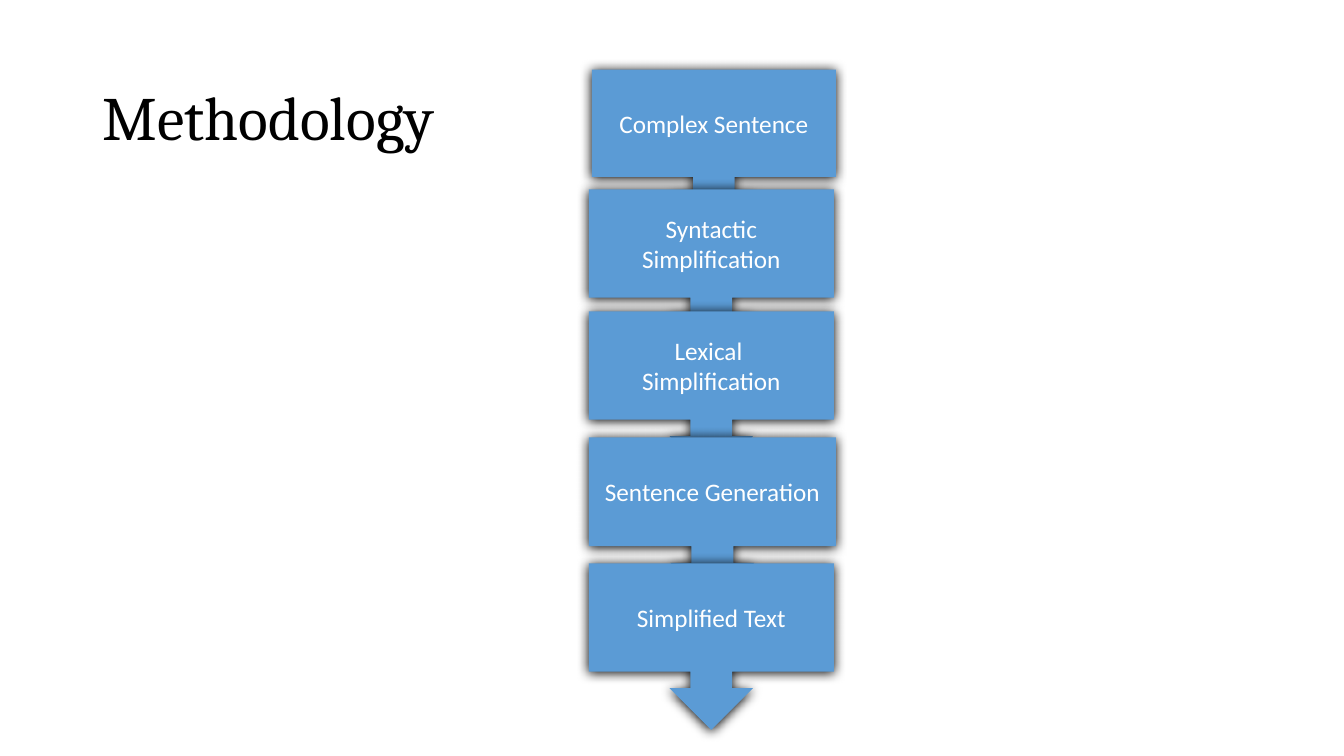
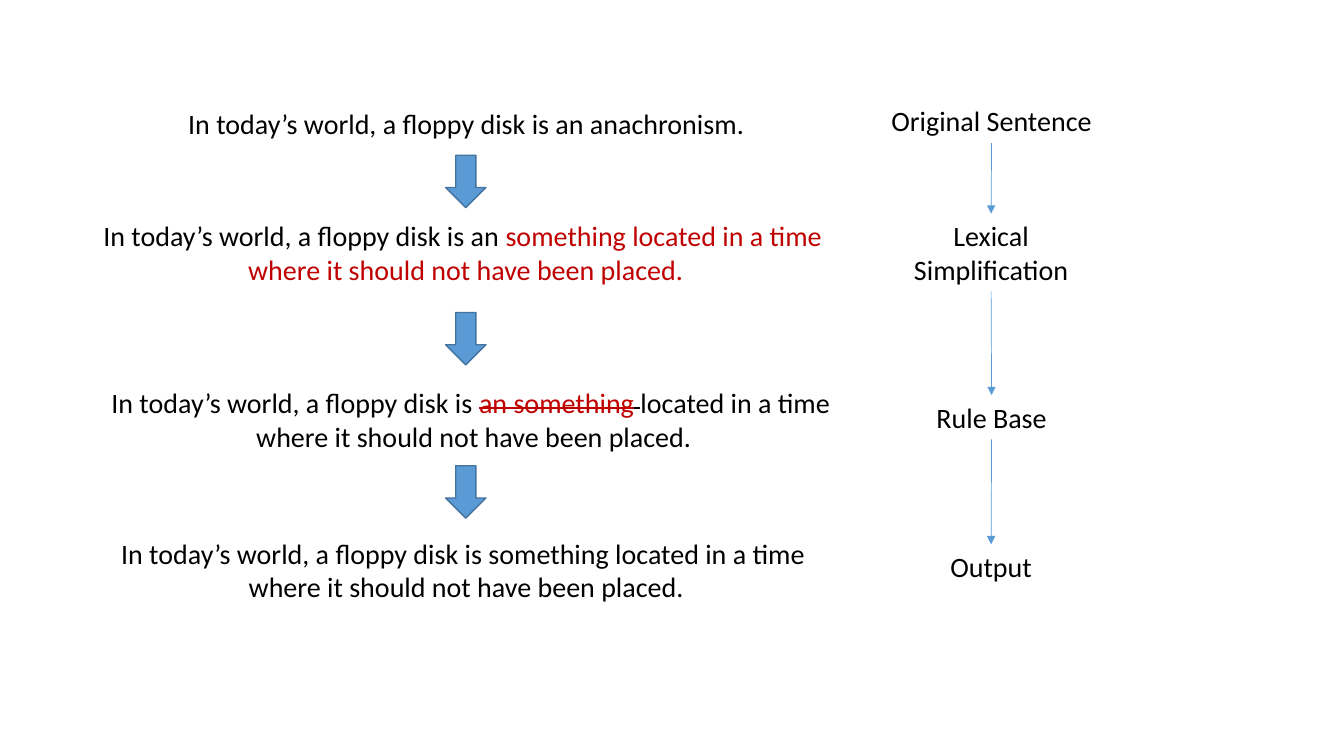
from dataclasses import dataclass

from lxml.etree import SubElement
from pptx import Presentation
from pptx.dml.color import RGBColor
from pptx.enum.shapes import MSO_CONNECTOR as Connector, MSO_SHAPE as Shape
from pptx.enum.text import MSO_ANCHOR as Anchor, MSO_AUTO_SIZE as AutoSize, PP_ALIGN as Align
from pptx.oxml.ns import qn
from pptx.util import Emu, Pt

PX = 9144  # 100 px to the inch
BOTTOM, TOP = 2, 0


@dataclass(frozen=True)
class Theme:
    black: str = "000000"
    white: str = "FFFFFF"
    blue: str = "5B9BD5"
    dark_blue: str = "43739E"
    red: str = "C00000"
    title_font: str = "Cambria"
    body_font: str = "Calibri"
    title_size: int = 44
    sentence_size: int = 20
    step_size: int = 18


THEME = Theme()

TITLE = ("Methodology", (92, 47, 1150, 145))

# Paragraphs, then left, top, width, height
STEPS = [
    (["Complex Sentence"], (587, 69, 242, 164)),
    (["Syntactic Simplification"], (584, 188, 243, 165)),
    (["Lexical ", "Simplification"], (584, 309, 243, 165)),
    (["Sentence Generation"], (584, 434, 245, 166)),
    (["Simplified Text"], (584, 559, 243, 165)),
]

# Text, top, width, height
STAGE_CENTER = 983
STAGES = [
    ("Original Sentence", 98, 603, 44),
    ("Lexical Simplification", 212, 220, 77),
    ("Rule Base", 392, 235, 44),
    ("Output", 540, 176, 44),
]

# Paragraphs of spans, then center, top, width, height
RED = {"color": THEME.red}
RED_STRUCK = {"color": THEME.red, "strike": True}
ENDING = ["where it should not have been placed."]
RED_ENDING = [(ENDING[0], RED)]
SENTENCES = [
    ([["In today’s world, a floppy disk is an anachronism."]], 462, 101, 577, 44),
    ([["In today’s world, a floppy disk is an ", ("something located in a time ", RED)],
      RED_ENDING], 462, 212, 746, 77),
    ([["In today’s world, a floppy disk is ", ("an something", RED_STRUCK),
       (" ", {"strike": True}), "located in a time "], ENDING], 470, 378, 746, 77),
    ([["In today’s world, a floppy disk is something located in a time "],
      ENDING], 462, 527, 711, 77),
]

ARROW_CENTER, ARROW_WIDTH, ARROW_HEIGHT = 462, 40, 52
ARROW_TOPS = [154, 310, 462]


def place(left, top, width, height):
    return [Emu(length * PX) for length in (left, top, width, height)]


def rgb(color):
    return RGBColor.from_string(color)


def write(shape, paragraphs, *, size, font=THEME.body_font, color=THEME.black,
          align=Align.CENTER, anchor=Anchor.TOP, spacing=None, wrap=True, grow=False):
    """Fill a shape; a paragraph is a string or a list of strings and (text, format) pairs."""
    frame = shape.text_frame
    frame.word_wrap = wrap
    frame.vertical_anchor = anchor
    if grow:
        frame.auto_size = AutoSize.SHAPE_TO_FIT_TEXT
    for index, content in enumerate(paragraphs):
        para = frame.add_paragraph() if index else frame.paragraphs[0]
        para.alignment = align
        para.line_spacing = spacing
        for piece in [content] if isinstance(content, str) else content:
            text, style = (piece, {}) if isinstance(piece, str) else piece
            span = para.add_run()
            span.text = text
            span.font.name = font
            span.font.size = Pt(size)
            span.font.color.rgb = rgb(style.get("color", color))
            if style.get("strike"):
                span._r.get_or_add_rPr().set("strike", "sngStrike")


def add_text(page, box, paragraphs, **style):
    shape = page.shapes.add_textbox(*place(*box))
    write(shape, paragraphs, **style)
    return shape


def add_block(page, kind, box, outline=None):
    shape = page.shapes.add_shape(kind, *place(*box))
    shape.shadow.inherit = False
    shape.fill.solid()
    shape.fill.fore_color.rgb = rgb(THEME.blue)
    if outline:
        shape.line.color.rgb = rgb(outline)
        shape.line.width = Pt(1)
    else:
        shape.line.fill.background()
    return shape


def cast_shadow(shape):
    effects = shape._element.spPr.find(qn("a:effectLst"))
    shadow = SubElement(effects, qn("a:outerShdw"), blurRad=str(Pt(8.5)), dist=str(Pt(1)),
                        dir="5400000", algn="ctr", rotWithShape="0")
    SubElement(shadow, qn("a:srgbClr"), val=THEME.black)


def join(page, upper, lower):
    """Draw a thin arrow from the bottom of one box to the top of the next."""
    link = page.shapes.add_connector(Connector.STRAIGHT, 0, 0, 0, 0)
    link.begin_connect(upper, BOTTOM)
    link.end_connect(lower, TOP)
    link.line.color.rgb = rgb(THEME.blue)
    link.line.width = Pt(0.5)
    SubElement(link.line._get_or_add_ln(), qn("a:tailEnd"), type="triangle")
    SubElement(link._element.spPr, qn("a:effectLst"))


def build_methodology(page):
    title, box = TITLE
    add_text(page, box, [title], size=THEME.title_size, font=THEME.title_font,
             align=Align.LEFT, anchor=Anchor.MIDDLE, spacing=0.9)
    for paragraphs, box in STEPS:
        step = add_block(page, Shape.DOWN_ARROW_CALLOUT, box)
        cast_shadow(step)
        write(step, paragraphs, size=THEME.step_size, color=THEME.white, anchor=Anchor.MIDDLE)


def build_example(page):
    stages = [
        add_text(page, (STAGE_CENTER - width // 2, top, width, height), [text],
                 size=THEME.sentence_size, grow=True)
        for text, top, width, height in STAGES
    ]
    for upper, lower in zip(stages, stages[1:]):
        join(page, upper, lower)
    for paragraphs, center, top, width, height in SENTENCES:
        add_text(page, (center - width // 2, top, width, height), paragraphs,
                 size=THEME.sentence_size, wrap=False, grow=True)
    for top in ARROW_TOPS:
        box = (ARROW_CENTER - ARROW_WIDTH // 2, top, ARROW_WIDTH, ARROW_HEIGHT)
        add_block(page, Shape.DOWN_ARROW, box, outline=THEME.dark_blue)


def main():
    deck = Presentation()
    deck.slide_width, deck.slide_height = Emu(1333 * PX), Emu(750 * PX)
    blank = deck.slide_layouts[6]
    for build in (build_methodology, build_example):
        build(deck.slides.add_slide(blank))
    deck.save("out.pptx")


if __name__ == "__main__":
    main()
